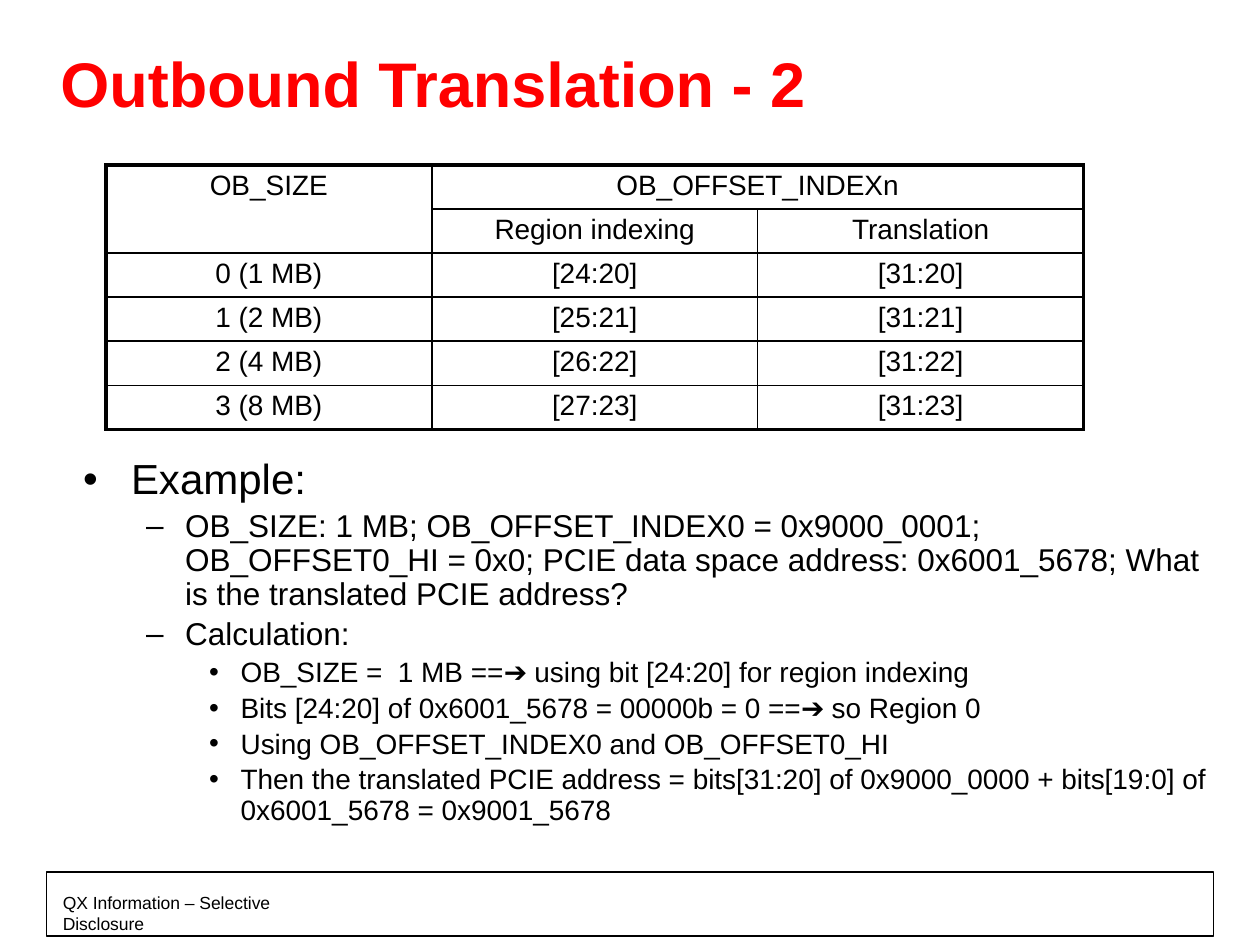
from lxml.etree import SubElement
from pptx import Presentation
from pptx.dml.color import RGBColor
from pptx.enum.shapes import MSO_SHAPE
from pptx.enum.text import MSO_ANCHOR, MSO_AUTO_SIZE, PP_ALIGN
from pptx.oxml.ns import qn
from pptx.util import Inches, Pt

# Bullet, left margin, hanging indent and text size of each list level
LEVELS = [("•", 0.38, 0.38, 24), ("–", 0.81, 0.31, 18), ("•", 1.25, 0.25, 16)]
EXAMPLE = [
    (0, "Example:"),
    (1, "OB_SIZE: 1 MB; OB_OFFSET_INDEX0 = 0x9000_0001; OB_OFFSET0_HI = 0x0; "
        "PCIE data space address: 0x6001_5678; What is the translated PCIE address?"),
    (1, "Calculation:"),
    (2, "OB_SIZE =  1 MB ==➔ using bit [24:20] for region indexing"),
    (2, "Bits [24:20] of 0x6001_5678 = 00000b = 0 ==➔ so Region 0"),
    (2, "Using OB_OFFSET_INDEX0 and OB_OFFSET0_HI"),
    (2, "Then the translated PCIE address = bits[31:20] of 0x9000_0000 + "
        "bits[19:0] of 0x6001_5678 = 0x9001_5678"),
]
INDEXING = [
    ("OB_SIZE", "OB_OFFSET_INDEXn", ""),
    ("", "Region indexing", "Translation"),
    ("0 (1 MB)", "[24:20]", "[31:20]"),
    ("1 (2 MB)", "[25:21]", "[31:21]"),
    ("2 (4 MB)", "[26:22]", "[31:22]"),
    ("3 (8 MB)", "[27:23]", "[31:23]"),
]


def color(value):
    return RGBColor.from_string(value)


def write(para, text, size, ink="000000", bold=False, align=PP_ALIGN.LEFT):
    para.text = text
    para.alignment = align
    para.font.name = "Arial"
    para.font.size = Pt(size)
    para.font.bold = bold
    para.font.color.rgb = color(ink)


def place(shape, left, top, width, height):
    shape.left, shape.top = Inches(left), Inches(top)
    shape.width, shape.height = Inches(width), Inches(height)


def add_bullet(para, mark, margin, hanging):
    properties = para._p.get_or_add_pPr()
    properties.set("marL", str(Inches(margin)))
    properties.set("indent", str(-Inches(hanging)))
    SubElement(properties, qn("a:buFont"), typeface="Arial")
    SubElement(properties, qn("a:buChar"), char=mark)


def add_border(cell, side, width, ink):
    line = SubElement(cell._tc.get_or_add_tcPr(), qn(f"a:ln{side}"), w=str(Pt(width)))
    fill = SubElement(line, qn("a:solidFill"))
    SubElement(fill, qn("a:srgbClr"), val=ink)


class SlideBuilder:
    """Holds the line style and the current page."""

    ink = "000000"
    outer, inner = 2.25, 1

    def __init__(self, deck):
        self.page = deck.slides.add_slide(deck.slide_layouts[1])

    def title(self, text, *area):
        shape = self.page.shapes.title
        place(shape, *area)
        frame = shape.text_frame
        frame.vertical_anchor = MSO_ANCHOR.MIDDLE
        frame.auto_size = MSO_AUTO_SIZE.NONE
        write(frame.paragraphs[0], text, 36, "FF0000", bold=True)

    def bullets(self, items, *area):
        shape = self.page.placeholders[1]
        place(shape, *area)
        frame = shape.text_frame
        frame.auto_size = MSO_AUTO_SIZE.NONE
        for index, (level, text) in enumerate(items):
            para = frame.add_paragraph() if index else frame.paragraphs[0]
            mark, margin, hanging, size = LEVELS[level]
            para.level = level
            para.line_spacing = 0.9
            para.space_before = Pt(0.2 * size if index else 0)
            add_bullet(para, mark, margin, hanging)
            write(para, text, size, self.ink)

    def table(self, rows, merges, left, top, width, row_height):
        count, columns = len(rows), len(rows[0])
        table = self.page.shapes.add_table(
            count, columns, Inches(left), Inches(top),
            Inches(width), Inches(row_height * count)).table
        table.first_row = table.horz_banding = False
        for first, last in merges:
            table.cell(*first).merge(table.cell(*last))
        for r, texts in enumerate(rows):
            for c, text in enumerate(texts):
                cell = table.cell(r, c)
                if cell.is_spanned:
                    continue
                bottom, right = r, c
                if cell.is_merge_origin:
                    bottom += cell.span_height - 1
                    right += cell.span_width - 1
                edges = {"L": c == 0, "R": right == columns - 1,
                         "T": r == 0, "B": bottom == count - 1}
                for side, outside in edges.items():
                    add_border(cell, side, self.outer if outside else self.inner, self.ink)
                cell.fill.background()
                cell.margin_top = cell.margin_bottom = Inches(0.04)
                write(cell.text_frame.paragraphs[0], text, 16, self.ink, align=PP_ALIGN.CENTER)

    def frame(self, *area):
        box = self.page.shapes.add_shape(MSO_SHAPE.RECTANGLE, *map(Inches, area))
        box.shadow.inherit = False
        box.fill.background()
        box.line.color.rgb = color(self.ink)
        box.line.width = Pt(0.75)

    def label(self, text, *area):
        box = self.page.shapes.add_textbox(*map(Inches, area))
        box.text_frame.word_wrap = True
        write(box.text_frame.paragraphs[0], text, 10, self.ink)


def main():
    deck = Presentation()
    deck.slide_width, deck.slide_height = Inches(10), Inches(7.5)
    builder = SlideBuilder(deck)
    builder.frame(0.37, 6.92, 9.26, 0.51)
    builder.label("QX Information – Selective Disclosure", 0.4, 7.03, 2.4, 0.26)
    builder.title("Outbound Translation - 2", 0.38, 0, 9.25, 1.3)
    builder.table(INDEXING, [((0, 0), (1, 0)), ((0, 1), (0, 2))], 0.84, 1.31, 7.76, 0.35)
    builder.bullets(EXAMPLE, 0.56, 3.59, 9.26, 3.08)
    deck.save("out.pptx")


if __name__ == "__main__":
    main()
